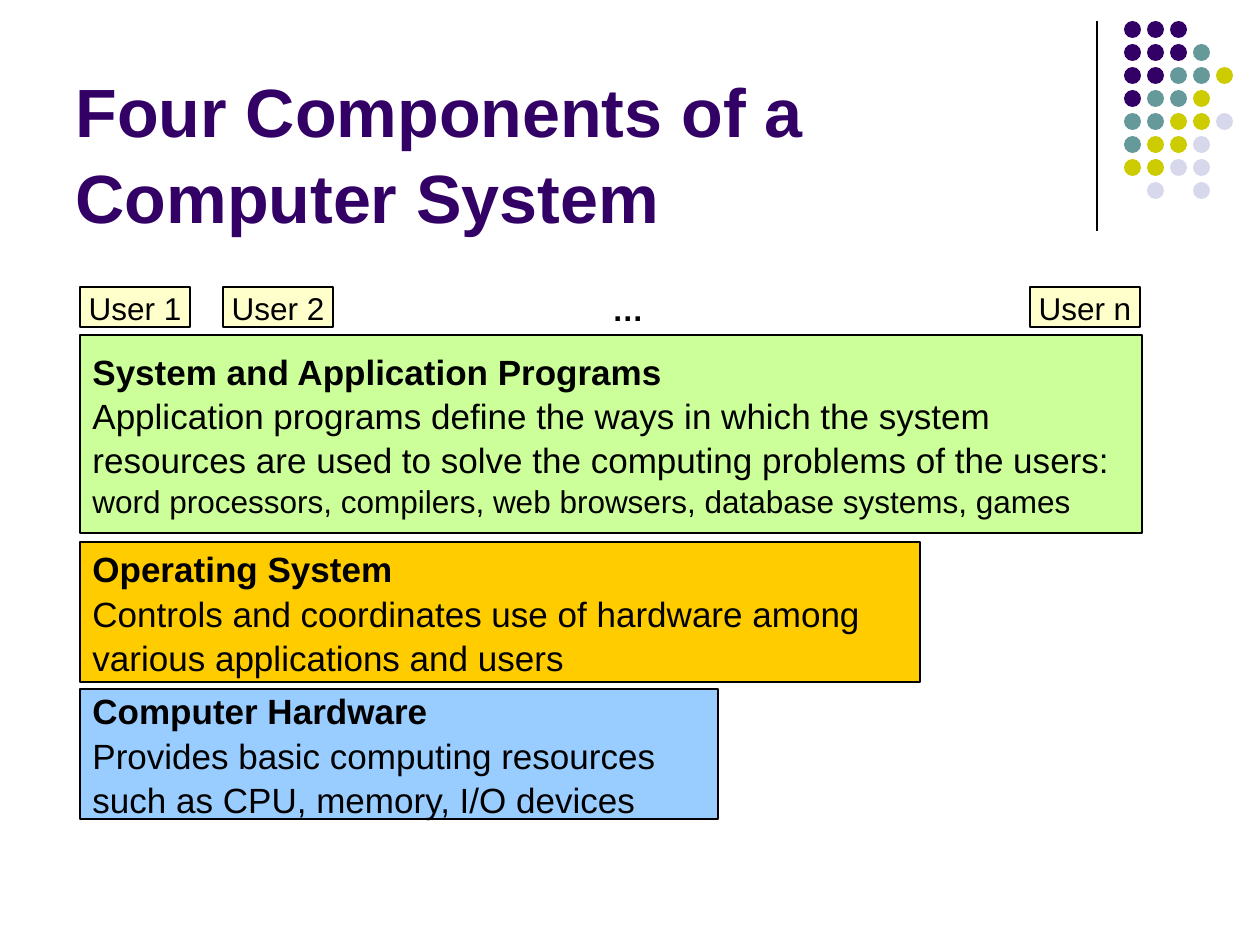
from dataclasses import dataclass

from lxml import etree
from pptx import Presentation
from pptx import util as u
from pptx.dml.color import RGBColor
from pptx.enum import shapes, text
from pptx.oxml.ns import qn

PX = 914400 / 126


@dataclass(frozen=True)
class Theme:
    font: str = "Arial"
    ink: str = "000000"
    title: str = "330066"
    user: str = "FFFFCC"
    programs: str = "CCFF99"
    system: str = "FFCC00"
    hardware: str = "99CCFF"
    dots: tuple = ("330066", "669999", "CCCC00", "D8D8EC")
    title_size: int = 39
    body_size: int = 20
    small_size: int = 18
    line_width: float = 0.75
    line_spacing: float = 1.05


THEME = Theme()

# Each digit picks a dot colour; a point leaves the place empty.
DOT_ROWS = ("000", "0001", "00112", "0112", "11223", "1223", "2233", ".3.3")


def px(*lengths):
    return [u.Emu(round(length * PX)) for length in lengths]


def rgb(colour):
    return RGBColor.from_string(colour)


def add_filled(slide, preset, box, fill, outlined=False):
    shape = slide.shapes.add_shape(preset, *px(*box))
    shape.shadow.inherit = False
    shape.fill.solid()
    shape.fill.fore_color.rgb = rgb(fill)
    if outlined:
        shape.line.color.rgb = rgb(THEME.ink)
        shape.line.width = u.Pt(THEME.line_width)
    else:
        shape.line.fill.background()
    return shape


def write(shape, lines, colour=THEME.ink, anchor=text.MSO_ANCHOR.MIDDLE,
          align=text.PP_ALIGN.LEFT, wrap=True):
    """Fill the shape with lines, each given as (words, size, bold)."""
    frame = shape.text_frame
    frame.word_wrap = wrap
    frame.vertical_anchor = anchor
    for index, (words, size, bold) in enumerate(lines):
        paragraph = frame.add_paragraph() if index else frame.paragraphs[0]
        paragraph.alignment = align
        paragraph.line_spacing = THEME.line_spacing
        run = paragraph.add_run()
        run.text = words
        run.font.name = THEME.font
        run.font.size = u.Pt(size)
        run.font.bold = bold
        run.font.color.rgb = rgb(colour)


def add_title(slide, box, words):
    write(slide.shapes.add_textbox(*px(*box)), [(words, THEME.title_size, True)],
          colour=THEME.title, anchor=text.MSO_ANCHOR.BOTTOM)


def add_ornament(slide, left, top, height):
    """Draw the vertical rule with the dot pattern to its right."""
    rule = slide.shapes.add_connector(
        shapes.MSO_CONNECTOR.STRAIGHT, *px(left, top, left, top + height))
    rule.line.color.rgb = rgb(THEME.ink)
    rule.line.width = u.Pt(THEME.line_width)
    etree.SubElement(rule._element.spPr, qn("a:effectLst"))
    offset, pitch, size = 27, 23, 17
    for row, codes in enumerate(DOT_ROWS):
        for column, code in enumerate(codes):
            if code != ".":
                box = (left + offset + column * pitch, top + row * pitch, size, size)
                add_filled(slide, shapes.MSO_SHAPE.OVAL, box, THEME.dots[int(code)])


def add_users(slide, left, top):
    width, height = 110, 40
    for offset, name in ((0, "User 1"), (143, "User 2"), (950, "User n")):
        shape = add_filled(slide, shapes.MSO_SHAPE.RECTANGLE,
                           (left + offset, top, width, height), THEME.user, True)
        write(shape, [(name, THEME.small_size, False)],
              align=text.PP_ALIGN.CENTER, wrap=False)
    gap = slide.shapes.add_textbox(*px(left + 493, top + 1, width, height))
    write(gap, [("…", THEME.small_size, True)], align=text.PP_ALIGN.CENTER)


def add_layer(slide, box, fill, heading, body, examples=()):
    shape = add_filled(slide, shapes.MSO_SHAPE.RECTANGLE, box, fill, True)
    write(shape, [(heading, THEME.body_size, True)]
          + [(line, THEME.body_size, False) for line in body]
          + [(line, THEME.small_size, False) for line in examples])


def main():
    presentation = Presentation()
    presentation.slide_width, presentation.slide_height = px(1260, 945)
    slide = presentation.slides.add_slide(presentation.slide_layouts[6])
    left = 80
    add_ornament(slide, 1097, 21, 210)
    add_title(slide, (63, 64, 1040, 179), "Four Components of a Computer System")
    add_layer(slide, (left, 689, 638, 130), THEME.hardware, "Computer Hardware",
              ("Provides basic computing resources",
               "such as CPU, memory, I/O devices"))
    add_layer(slide, (left, 542, 840, 140), THEME.system, "Operating System",
              ("Controls and coordinates use of hardware among",
               "various applications and users"))
    add_layer(slide, (left, 335, 1062, 198), THEME.programs,
              "System and Application Programs",
              ("Application programs define the ways in which the system",
               "resources are used to solve the computing problems of the users:"),
              ("word processors, compilers, web browsers, database systems, games",))
    add_users(slide, left, 287)
    presentation.save("out.pptx")


if __name__ == "__main__":
    main()
